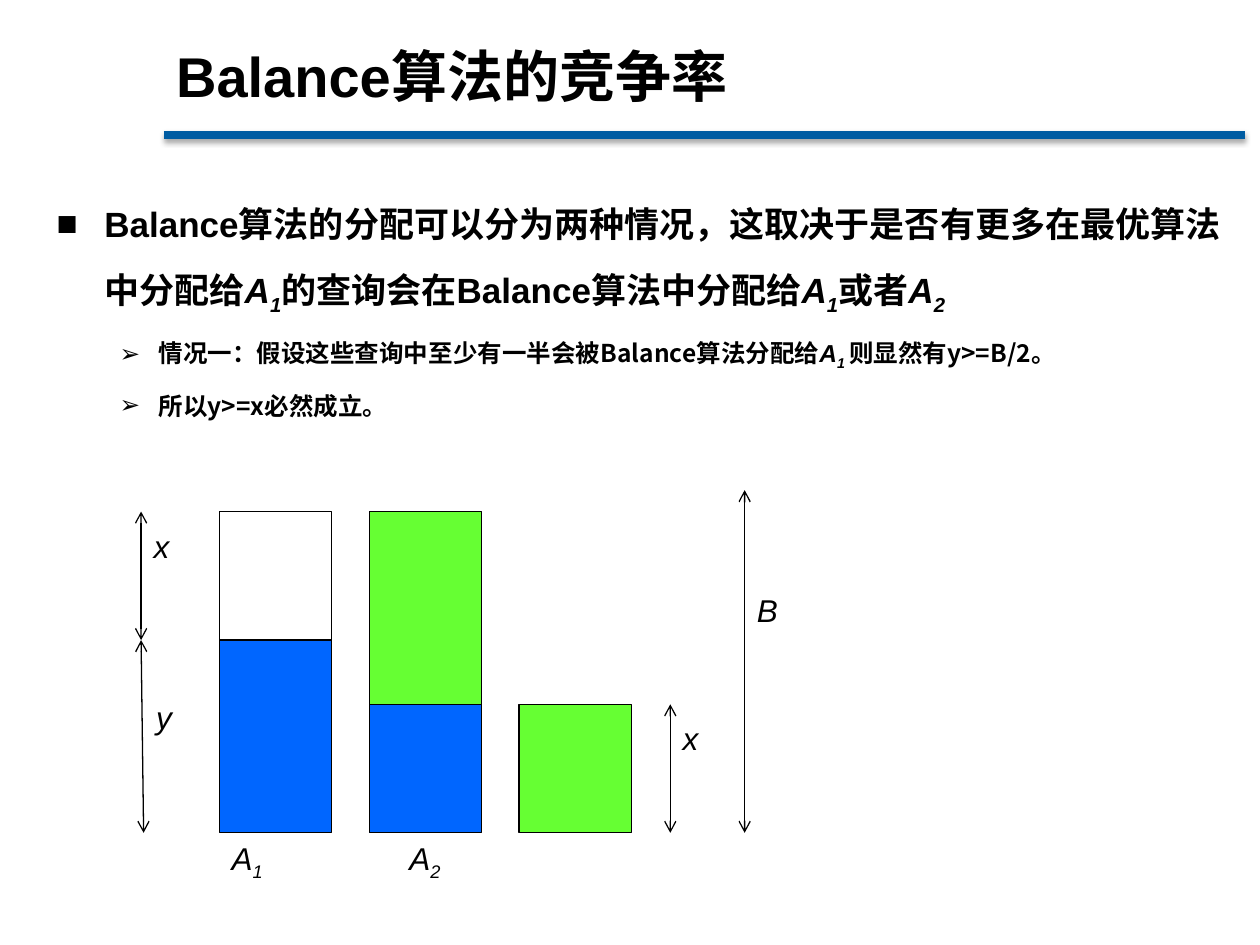
from lxml import etree
from pptx import Presentation
from pptx.dml.color import RGBColor
from pptx.enum.shapes import MSO_CONNECTOR, MSO_SHAPE
from pptx.enum.text import MSO_ANCHOR
from pptx.oxml.ns import qn
from pptx.util import Inches, Pt

STRAIGHT = MSO_CONNECTOR.STRAIGHT
RECTANGLE = MSO_SHAPE.RECTANGLE
MIDDLE = MSO_ANCHOR.MIDDLE
LATIN, CJK = "Arial", "Noto Sans CJK SC"
COLORS = {"black": "000000", "rule": "005CA2", "blue": "0066FF", "green": "66FF33"}

presentation = Presentation()
presentation.slide_width, presentation.slide_height = Inches(10), Inches(7.5)
slide = presentation.slides.add_slide(presentation.slide_layouts[6])


def write(paragraph, pieces, size, bold=False, font=LATIN):
    """Write (text, style) pieces; style is "", "italic" or "sub"."""
    paragraph.font.size = Pt(size)
    paragraph.font.bold = bold
    paragraph.font.name = font
    paragraph.font.color.rgb = RGBColor.from_string(COLORS["black"])
    for text, style in pieces:
        run = paragraph.add_run()
        run.text = text
        properties = run._r.get_or_add_rPr()
        if style:
            run.font.italic = True
            run.font.name = LATIN
        else:
            etree.SubElement(properties, qn("a:ea"), typeface=CJK)
        if style == "sub":
            properties.set("baseline", "-25000")


def add_line(x1, y1, x2, y2, color, width):
    """Draw a straight line; return its a:ln and its empty effect list."""
    line = slide.shapes.add_connector(
        STRAIGHT, Inches(x1), Inches(y1), Inches(x2), Inches(y2))
    line.line.color.rgb = RGBColor.from_string(COLORS[color])
    line.line.width = Pt(width)
    properties = line._element.spPr
    effects = etree.SubElement(properties, qn("a:effectLst"))
    return properties.find(qn("a:ln")), effects


# Rule under the title, with a soft shadow
_, effects = add_line(1.3, 1.07, 9.88, 1.07, "rule", 4.5)
shadow = etree.SubElement(
    effects, qn("a:outerShdw"), blurRad=str(Pt(3.1)), dist=str(Pt(1.8)),
    dir="5400000", rotWithShape="0")
shadow_color = etree.SubElement(shadow, qn("a:srgbClr"), val=COLORS["black"])
etree.SubElement(shadow_color, qn("a:alpha"), val="35000")

# Title
title = slide.shapes.add_textbox(Inches(1.3), Inches(0.13), Inches(8.64), Inches(0.94))
title.text_frame.word_wrap = True
title.text_frame.vertical_anchor = MIDDLE
write(title.text_frame.paragraphs[0], [("Balance算法的竞争率", "")], 32, bold=True)

# Body: bullet, left indent, hanging indent, size, font, pieces
A1 = [("A", "italic"), ("1", "sub")]
A2 = [("A", "italic"), ("2", "sub")]
body_items = [
    ("■", 0.38, 0.38, 20, LATIN, [
        ("Balance算法的分配可以分为两种情况，这取决于是否有更多在最优算法中分配给", ""),
        *A1, ("的查询会在Balance算法中分配给", ""), *A1, ("或者", ""), *A2]),
    ("➢", 0.81, 0.31, 14, CJK, [
        ("情况一：假设这些查询中至少有一半会被Balance算法分配给", ""),
        ("A", "italic"), ("1 ", "sub"), ("则显然有y>=B/2。", "")]),
    ("➢", 0.81, 0.31, 14, CJK, [("所以y>=x必然成立。", "")]),
]
body = slide.shapes.add_textbox(Inches(0.35), Inches(1.39), Inches(9.45), Inches(5.91))
body.text_frame.word_wrap = True
for index, (bullet, left, hanging, size, font, pieces) in enumerate(body_items):
    frame = body.text_frame
    paragraph = frame.add_paragraph() if index else frame.paragraphs[0]
    properties = paragraph._p.get_or_add_pPr()
    properties.set("marL", str(Inches(left)))
    properties.set("indent", str(-Inches(hanging)))
    etree.SubElement(properties, qn("a:buFont"), typeface=LATIN)
    etree.SubElement(properties, qn("a:buChar"), char=bullet)
    paragraph.line_spacing = 1.5
    paragraph.space_before = Pt(size * 0.2)
    write(paragraph, pieces, size, bold=True, font=font)

# Budget bars: column, top, bottom, fill
TOP, HALF, LOW, BASE = 4.06, 5.08, 5.59, 6.61
BAR_LEFT, BAR_STEP, BAR_WIDTH = 1.74, 1.19, 0.89
bars = [
    (0, TOP, HALF, None), (0, HALF, BASE, "blue"),
    (1, LOW, BASE, "blue"), (1, TOP, LOW, "green"),
    (2, LOW, BASE, "green"),
]
for column, top, bottom, fill in bars:
    bar = slide.shapes.add_shape(
        RECTANGLE, Inches(BAR_LEFT + column * BAR_STEP), Inches(top),
        Inches(BAR_WIDTH), Inches(bottom - top))
    bar.shadow.inherit = False
    if fill:
        bar.fill.solid()
        bar.fill.fore_color.rgb = RGBColor.from_string(COLORS[fill])
    else:
        bar.fill.background()
    bar.line.color.rgb = RGBColor.from_string(COLORS["black"])
    bar.line.width = Pt(0.75)

# Double-headed dimension arrows
dimensions = [
    (1.12, TOP, 1.12, HALF), (1.12, HALF, 1.14, BASE),
    (5.32, LOW, 5.32, BASE), (5.91, 3.89, 5.91, BASE),
]
for x1, y1, x2, y2 in dimensions:
    outline, _ = add_line(x1, y1, x2, y2, "black", 0.75)
    for end in ("a:headEnd", "a:tailEnd"):
        etree.SubElement(outline, qn(end), type="arrow")

# Dimension and bar labels: left, top, width, pieces
labels = [
    (1.12, 4.13, 0.59, [("x", "italic")]),
    (1.14, 5.49, 0.59, [("y", "italic")]),
    (5.32, 5.66, 0.59, [("x", "italic")]),
    (5.91, 4.64, 0.67, [("B", "italic")]),
    (1.74, BASE, 0.85, A1),
    (3.15, BASE, 0.85, A2),
]
for left, top, width, pieces in labels:
    label = slide.shapes.add_textbox(Inches(left), Inches(top), Inches(width), Inches(0.4))
    label.text_frame.word_wrap = True
    write(label.text_frame.paragraphs[0], pieces, 18)

presentation.save("out.pptx")
